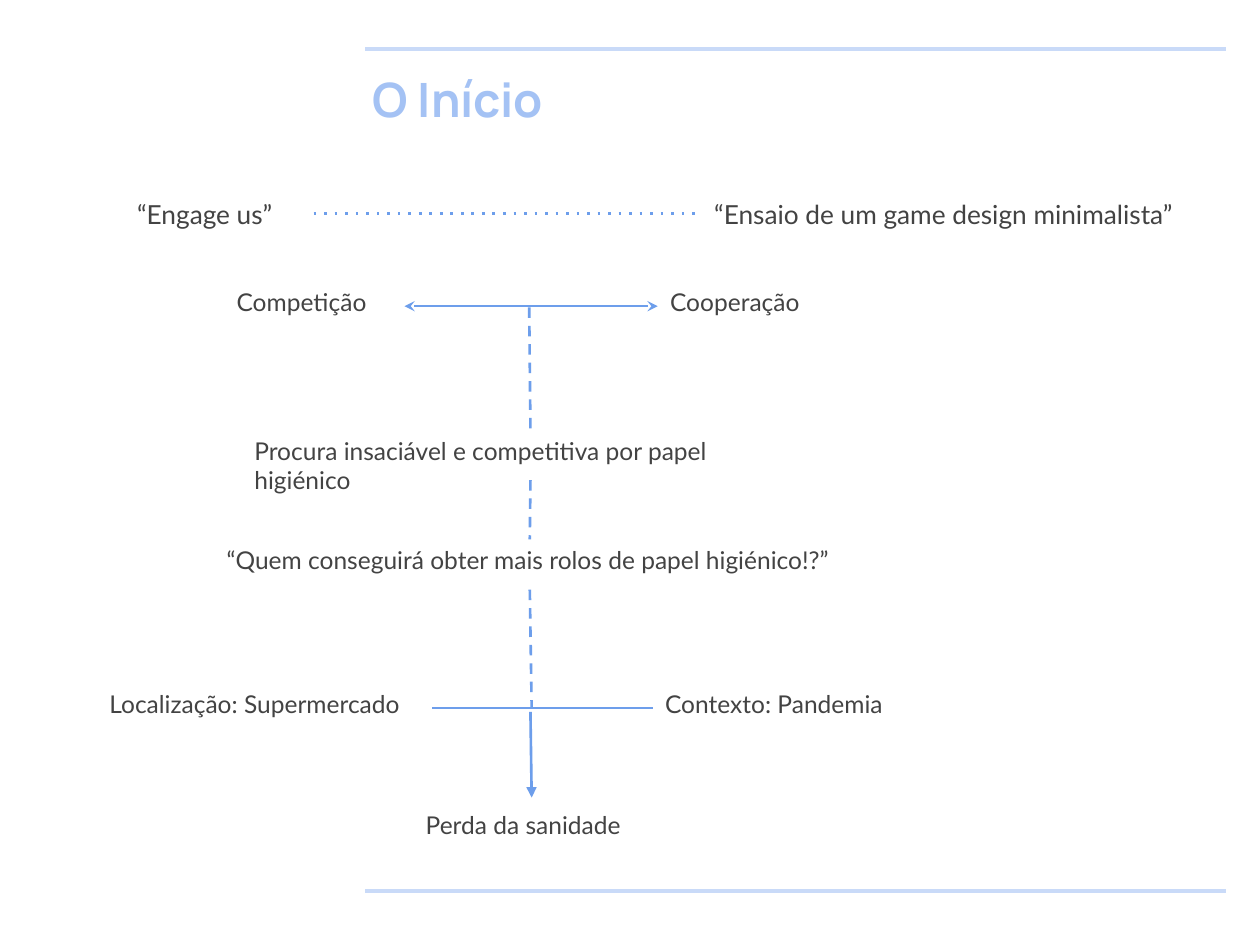
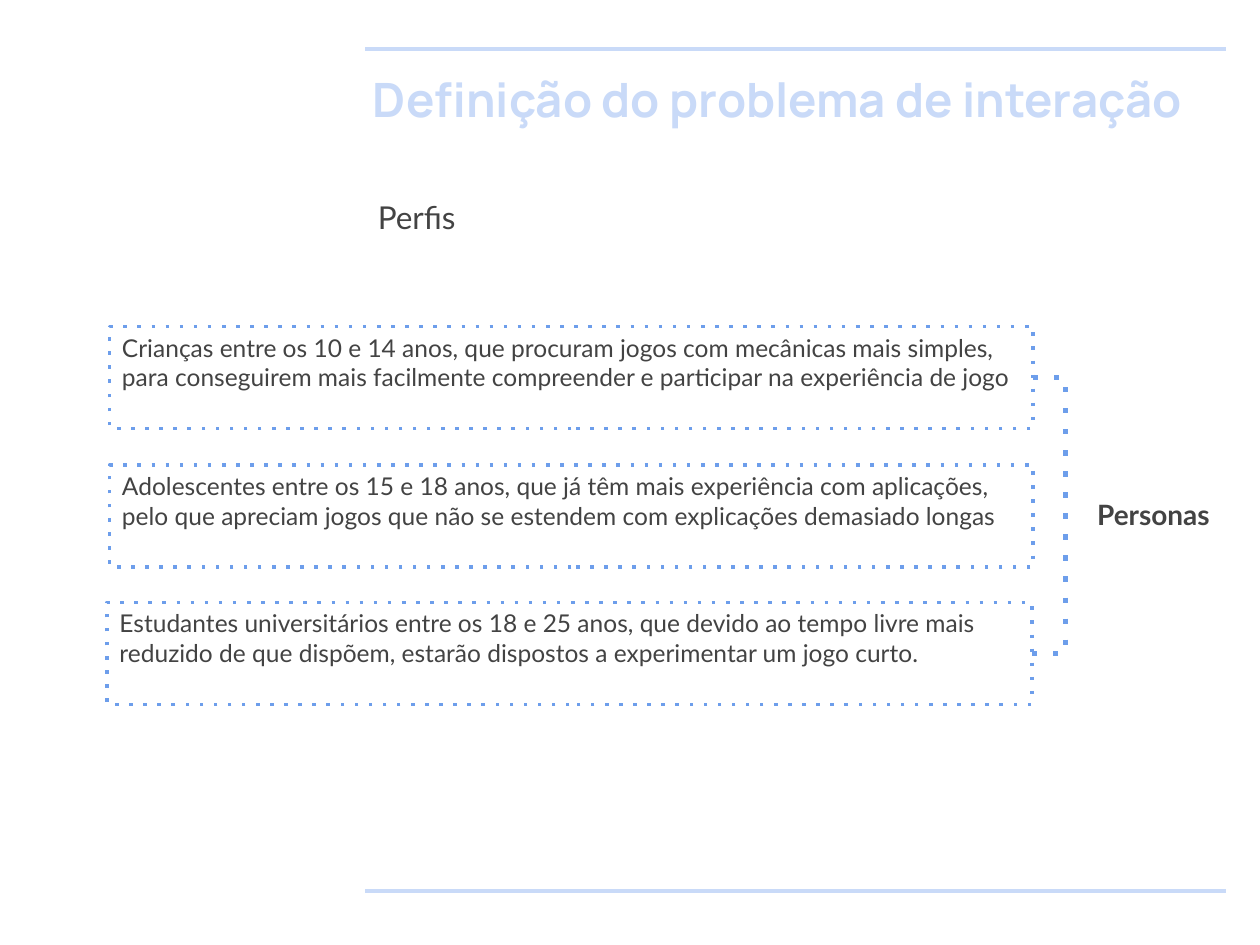
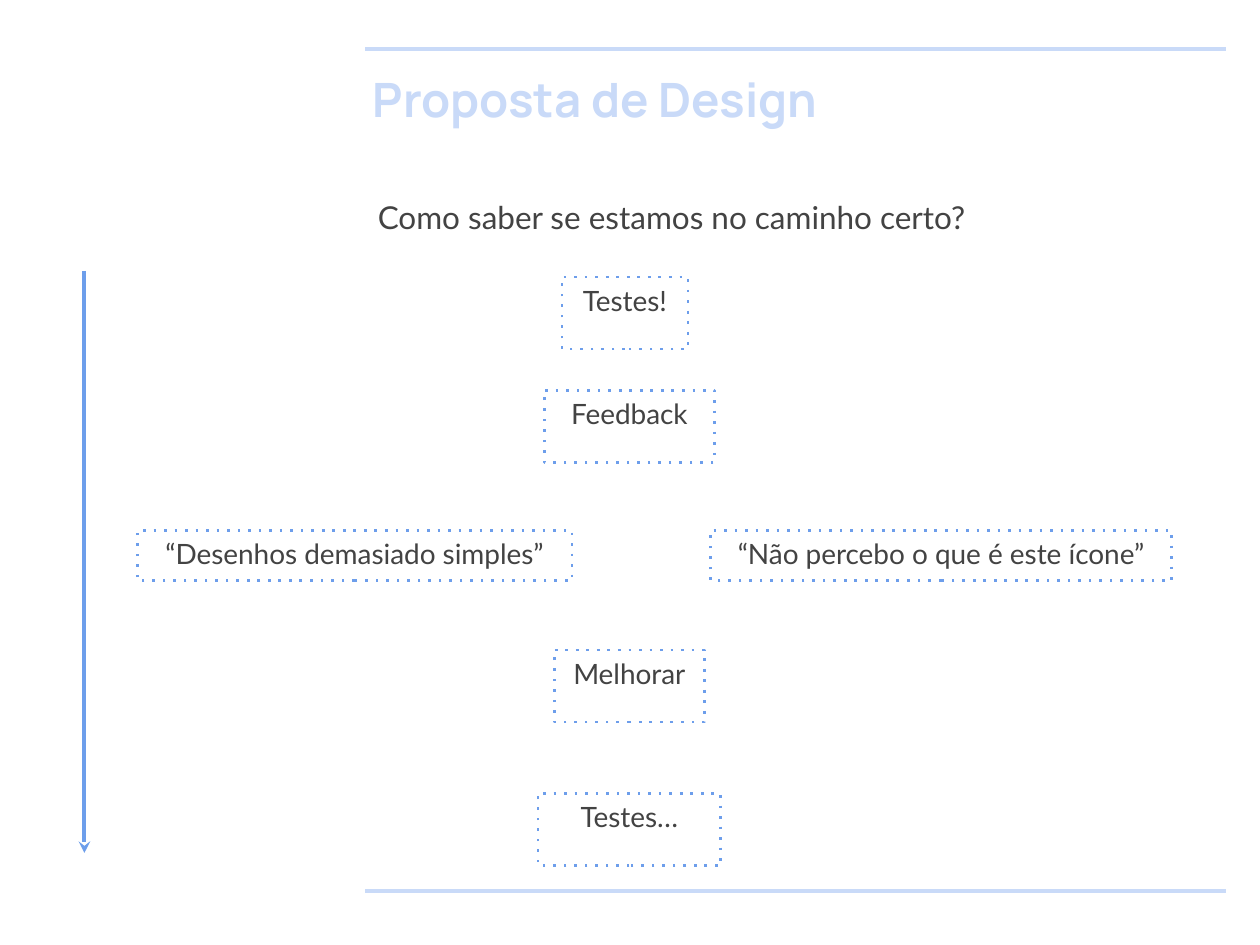
from dataclasses import dataclass
from typing import NamedTuple, Optional, Union

from lxml import etree
from pptx import Presentation
from pptx.dml.color import RGBColor
from pptx.enum.shapes import MSO_CONNECTOR, MSO_SHAPE
from pptx.enum.text import MSO_ANCHOR, MSO_AUTO_SIZE, PP_ALIGN
from pptx.oxml.ns import qn
from pptx.util import Inches, Pt

STRAIGHT, ELBOW = MSO_CONNECTOR.STRAIGHT, MSO_CONNECTOR.ELBOW
RECTANGLE = MSO_SHAPE.RECTANGLE
LEFT_ALIGN, CENTER = PP_ALIGN.LEFT, PP_ALIGN.CENTER
TOP_ANCHOR = MSO_ANCHOR.TOP
NO_AUTOFIT = MSO_AUTO_SIZE.NONE
TOP, LEFT, BOTTOM, RIGHT = range(4)
TITLE_ONLY = 5


@dataclass(frozen=True)
class Theme:
    white: str = "FFFFFF"
    band: str = "C9DAF8"
    opening_title: str = "A4C2F4"
    accent: str = "6D9EEB"
    ink: str = "434343"
    title_font: str = "Manrope"
    body_font: str = "Lato"
    title_size: float = 27
    subtitle_size: float = 18
    step_size: float = 16
    quote_size: float = 15
    body_size: float = 14
    band_width: float = 2.25
    line_width: float = 1.5
    profile_width: float = 2
    bracket_width: float = 3


THEME = Theme()


class Box(NamedTuple):
    left: float
    top: float
    width: float
    height: float


class Point(NamedTuple):
    x: float
    y: float


class Side(NamedTuple):
    name: str
    site: int


@dataclass(frozen=True)
class Label:
    name: str
    text: str
    box: Box
    size: float = THEME.body_size
    inset: float = 0.05


@dataclass(frozen=True)
class Link:
    start: Union[Point, Side]
    end: Union[Point, Side]
    dash: Optional[str] = None
    head: Optional[str] = None
    tail: Optional[str] = None
    width: float = THEME.line_width
    color: str = THEME.accent


def set_text(shape, text: str, *, size: float, color: str = THEME.ink,
             font: str = THEME.body_font, bold: bool = False,
             align=LEFT_ALIGN, inset: float = 0.05) -> None:
    frame = shape.text_frame
    frame.word_wrap = True
    frame.auto_size = NO_AUTOFIT
    frame.vertical_anchor = TOP_ANCHOR
    frame.margin_left = frame.margin_right = Inches(0.1)
    frame.margin_top = frame.margin_bottom = Inches(inset)
    frame.text = text
    paragraph = frame.paragraphs[0]
    paragraph.alignment = align
    run_font = paragraph.runs[0].font
    run_font.name = font
    run_font.size = Pt(size)
    run_font.bold = bold
    run_font.color.rgb = RGBColor.from_string(color)


def style_line(shape, color: str, width: float, dash: Optional[str] = None,
               head: Optional[str] = None, tail: Optional[str] = None) -> None:
    shape.line.color.rgb = RGBColor.from_string(color)
    shape.line.width = Pt(width)
    outline = shape.element.spPr.find(qn("a:ln"))
    for tag, attribute, value in (("a:prstDash", "val", dash),
                                  ("a:headEnd", "type", head),
                                  ("a:tailEnd", "type", tail)):
        if value:
            etree.SubElement(outline, qn(tag)).set(attribute, value)


def add_text(slide, text: str, box: Box, **text_format):
    shape = slide.shapes.add_textbox(*map(Inches, box))
    set_text(shape, text, **text_format)
    return shape


def add_dotted_box(slide, text: str, box: Box, *, width: float,
                   fill: Optional[str] = None, **text_format):
    shape = slide.shapes.add_shape(RECTANGLE, *map(Inches, box))
    shape.shadow.inherit = False
    if fill:
        shape.fill.solid()
        shape.fill.fore_color.rgb = RGBColor.from_string(fill)
    else:
        shape.fill.background()
    style_line(shape, THEME.accent, width, "dot")
    set_text(shape, text, **text_format)
    return shape


def add_link(slide, link: Link, shapes: Optional[dict] = None, kind=STRAIGHT):
    ends = [end if isinstance(end, Point) else Point(0, 0)
            for end in (link.start, link.end)]
    connector = slide.shapes.add_connector(
        kind, *(Inches(value) for end in ends for value in end))
    if isinstance(link.start, Side):
        connector.begin_connect(shapes[link.start.name], link.start.site)
    if isinstance(link.end, Side):
        connector.end_connect(shapes[link.end.name], link.end.site)
    style_line(connector, link.color, link.width, link.dash, link.head, link.tail)
    etree.SubElement(connector.element.spPr, qn("a:effectLst"))
    return connector


def add_titled_slide(presentation, title: str, color: str = THEME.band):
    slide = presentation.slides.add_slide(presentation.slide_layouts[TITLE_ONLY])
    shape = slide.shapes.title
    shape.left, shape.top, shape.width, shape.height = map(
        Inches, Box(2.86, 0.46, 6.91, 0.66))
    set_text(shape, title, size=THEME.title_size, color=color,
             font=THEME.title_font, bold=True, inset=0.1)
    for y in (0.39, 7.07):
        add_link(slide, Link(Point(2.9, y), Point(9.73, y),
                             width=THEME.band_width, color=THEME.band))
    return slide


def add_subtitle(slide, text: str) -> None:
    add_text(slide, text, Box(2.9, 1.47, 6.83, 0.5),
             size=THEME.subtitle_size, inset=0.1)


# Slide 1: from the first idea to the loss of sanity
IDEAS = (
    Label("engage", "“Engage us”", Box(0.99, 1.47, 1.5, 0.45), THEME.quote_size, 0.1),
    Label("essay", "“Ensaio de um game design minimalista”",
          Box(5.57, 1.47, 4.03, 0.45), THEME.quote_size, 0.1),
    Label("cooperation", "Cooperação", Box(5.22, 2.23, 1.43, 0.4)),
    Label("competition", "Competição", Box(1.78, 2.23, 1.43, 0.4)),
    Label("search", "Procura insaciável e competitiva por papel higiénico",
          Box(1.92, 3.41, 4.58, 0.4)),
    Label("question", "“Quem conseguirá obter mais rolos de papel higiénico!?”",
          Box(1.7, 4.28, 5.01, 0.4)),
    Label("place", "Localização: Supermercado", Box(0.77, 5.42, 2.66, 0.4)),
    Label("context", "Contexto: Pandemia", Box(5.18, 5.42, 2.27, 0.4)),
    Label("sanity", "Perda da sanidade", Box(3.28, 6.33, 1.88, 0.44), inset=0.1),
)
IDEA_LINKS = (
    Link(Side("engage", RIGHT), Side("essay", LEFT), dash="dot"),
    Link(Side("competition", RIGHT), Side("cooperation", LEFT),
         head="stealth", tail="stealth"),
    Link(Point(4.2, 2.44), Side("search", TOP), dash="dash"),
    Link(Side("search", BOTTOM), Side("question", TOP), dash="dash"),
    Link(Side("question", BOTTOM), Point(4.22, 5.62), dash="dash"),
    Link(Side("place", RIGHT), Side("context", LEFT)),
    Link(Point(4.21, 5.65), Side("sanity", TOP), tail="triangle"),
)


def build_beginning(presentation) -> None:
    slide = add_titled_slide(presentation, "O Início", THEME.opening_title)
    shapes = {idea.name: add_text(slide, idea.text, idea.box,
                                  size=idea.size, inset=idea.inset)
              for idea in IDEAS}
    for link in IDEA_LINKS:
        add_link(slide, link, shapes)


# Slide 2: profiles gathered into personas
PROFILES = (
    Label("children", "Crianças entre os 10 e 14 anos, que procuram jogos com "
          "mecânicas mais simples, para conseguirem mais facilmente compreender "
          "e participar na experiência de jogo", Box(0.87, 2.59, 7.33, 0.81)),
    Label("teenagers", "Adolescentes entre os 15 e 18 anos, que já têm mais "
          "experiência com aplicações, pelo que apreciam jogos que não se "
          "estendem com explicações demasiado longas", Box(0.87, 3.69, 7.33, 0.81)),
    Label("students", "Estudantes universitários entre os 18 e 25 anos, que devido "
          "ao tempo livre mais reduzido de que dispõem, estarão dispostos a "
          "experimentar um jogo curto.", Box(0.85, 4.78, 7.34, 0.81)),
)
BRACKET_REACH = 0.26


def build_profiles(presentation) -> None:
    slide = add_titled_slide(presentation, "Definição do problema de interação")
    add_subtitle(slide, "Perfis")
    shapes = {profile.name: add_dotted_box(
        slide, profile.text, profile.box, width=THEME.profile_width,
        fill=THEME.white, size=profile.size) for profile in PROFILES}
    add_text(slide, "Personas", Box(8.61, 3.9, 1.16, 0.4),
             size=THEME.step_size, bold=True)
    bracket = add_link(slide, Link(Side("children", RIGHT), Side("students", RIGHT),
                                   dash="dot", width=THEME.bracket_width),
                       shapes, ELBOW)
    # The bend lies outside the ends, so it is a negative share of the width
    bend = -round(Inches(BRACKET_REACH) / bracket.width * 100000)
    bracket.adjustments = None
    geometry = bracket.element.spPr.find(qn("a:prstGeom"))
    guides = geometry.find(qn("a:avLst"))
    guide = etree.SubElement(guides, qn("a:gd"))
    guide.set("name", "adj1")
    guide.set("fmla", f"val {bend}")


# Slide 3: the cycle of tests and improvements
STEPS = (
    ("Testes!", Box(4.46, 2.2, 1, 0.57)),
    ("Feedback", Box(4.32, 3.1, 1.35, 0.57)),
    ("“Desenhos demasiado simples”", Box(1.09, 4.21, 3.45, 0.4)),
    ("“Não percebo o que é este ícone”", Box(5.64, 4.21, 3.66, 0.4)),
    ("Melhorar", Box(4.4, 5.16, 1.19, 0.57)),
    ("Testes…", Box(4.27, 6.3, 1.45, 0.57)),
)


def build_proposal(presentation) -> None:
    slide = add_titled_slide(presentation, "Proposta de Design")
    add_subtitle(slide, "Como saber se estamos no caminho certo?")
    for text, box in STEPS:
        add_dotted_box(slide, text, box, width=THEME.line_width,
                       size=THEME.step_size, align=CENTER)
    add_link(slide, Link(Point(0.67, 2.15), Point(0.67, 6.77),
                         tail="stealth", width=THEME.band_width))


def main() -> None:
    presentation = Presentation()
    presentation.slide_width, presentation.slide_height = Inches(10), Inches(7.5)
    build_beginning(presentation)
    build_profiles(presentation)
    build_proposal(presentation)
    presentation.save("out.pptx")


if __name__ == "__main__":
    main()
